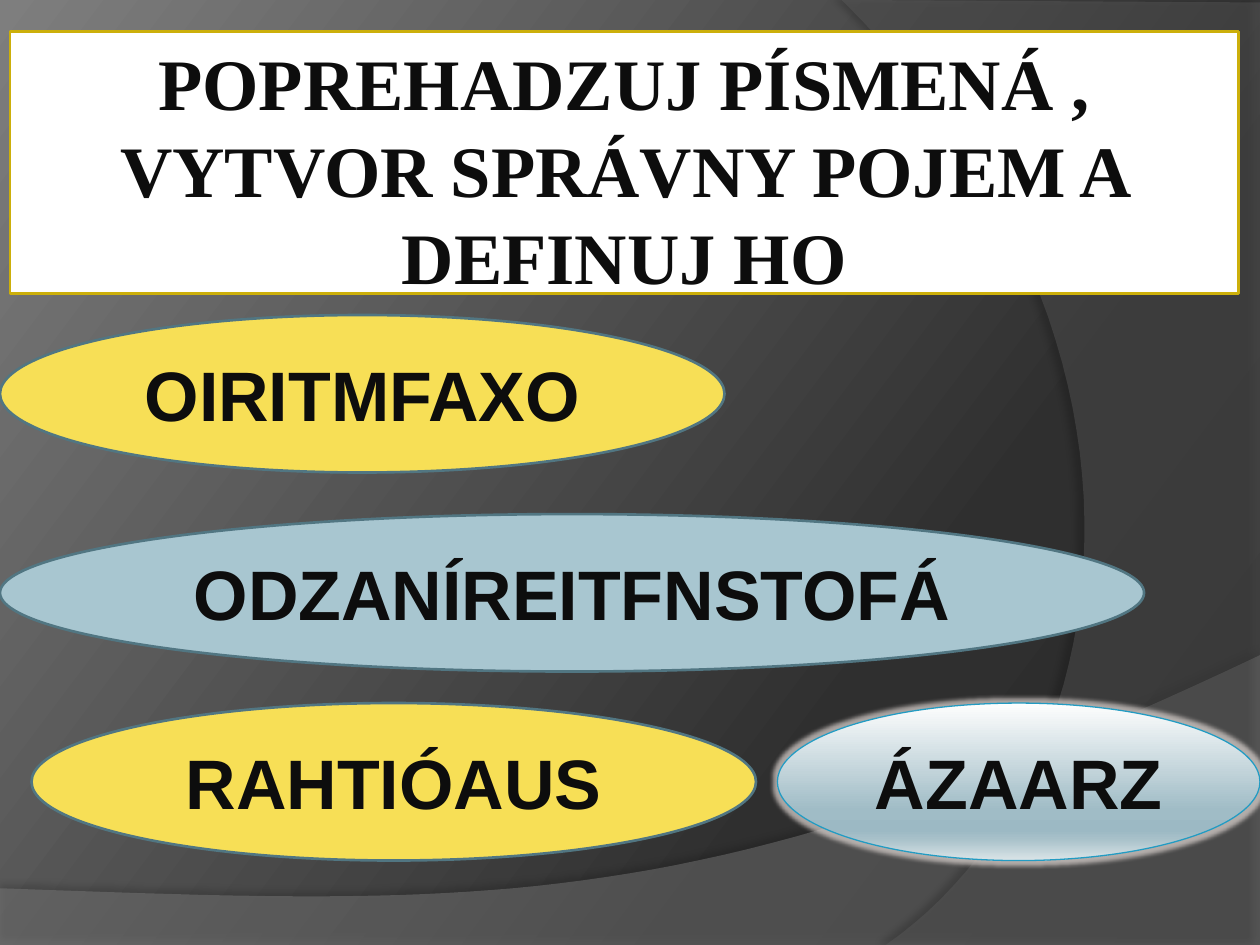
from lxml import etree
from pptx import Presentation
from pptx.dml.color import RGBColor
from pptx.enum.shapes import MSO_SHAPE
from pptx.enum.text import MSO_ANCHOR, PP_ALIGN
from pptx.oxml.ns import qn
from pptx.util import Inches, Pt

OVAL = MSO_SHAPE.OVAL
CENTER = PP_ALIGN.CENTER
TOP, MIDDLE = MSO_ANCHOR.TOP, MSO_ANCHOR.MIDDLE
INK, YELLOW, BLUE, EDGE = "0D0D0D", "F7DF56", "A8C6D0", "517682"
SILVER = [(0, "FEFEFE"), (68, "A0BCC6"), (81, "9CB9C4"), (86, "A7C0C9"), (100, "DAE4E7")]
GREY = [(0, "282828"), (30, "2F2F2F"), (100, "7E7E7E")]
UNITS = 1000


def color(code):
    """Turn a hex string into a colour."""
    return RGBColor.from_string(code)


def add_tag(parent, tag, **attrs):
    """Append a drawing element with the given attributes."""
    return etree.SubElement(parent, qn(tag), {k: str(v) for k, v in attrs.items()})


def add_tint(parent, code, alpha):
    """Append a colour with an opacity in percent."""
    tint = add_tag(parent, "a:srgbClr", val=code)
    add_tag(tint, "a:alpha", val=alpha * 1000)


def set_grad(fill, owner, stops, angle):
    """Fill with a linear gradient at a clockwise angle."""
    fill.gradient()
    fill.gradient_angle = 360 - angle
    items = next(owner.iter(qn("a:gsLst")))
    for item in list(items):
        items.remove(item)
    for pos, code in stops:
        stop = add_tag(items, "a:gs", pos=pos * 1000)
        add_tag(stop, "a:srgbClr", val=code)


def set_fill(shape, code):
    """Fill a shape with one colour."""
    shape.fill.solid()
    shape.fill.fore_color.rgb = color(code)


def set_line(shape, code, width):
    """Outline a shape."""
    shape.line.color.rgb = color(code)
    shape.line.width = Pt(width)


def set_text(shape, text, size=40, font="Arial", anchor=MIDDLE, inset=0.1):
    """Write bold centred text into a shape."""
    frame = shape.text_frame
    frame.word_wrap = True
    frame.vertical_anchor = anchor
    frame.margin_left = frame.margin_right = Inches(inset)
    frame.margin_top = frame.margin_bottom = Inches(0.05)
    para = frame.paragraphs[0]
    para.alignment = CENTER
    run = para.add_run()
    run.text = text
    run.font.size = Pt(size)
    run.font.name = font
    run.font.bold = True
    run.font.color.rgb = color(INK)


def curve(start, one, two, end, steps=48):
    """List the points of a Bezier curve."""
    points = []
    for step in range(steps + 1):
        t = step / steps
        u = 1 - t
        parts = (u ** 3, 3 * u * u * t, 3 * u * t * t, t ** 3)
        points.append(tuple(sum(p * q for p, q in zip(parts, axis))
                            for axis in zip(start, one, two, end)))
    return points


def add_wave(slide, points, code, alpha, shade, dist, angle):
    """Draw a translucent area with a soft shadow."""
    dots = [(round(x * UNITS), round(y * UNITS)) for x, y in points]
    path = slide.shapes.build_freeform(*dots[0], scale=Inches(1) / UNITS)
    path.add_line_segments(dots[1:], close=True)
    wave = path.convert_to_shape()
    set_fill(wave, code)
    tint = next(wave._element.spPr.iter(qn("a:srgbClr")))
    add_tag(tint, "a:alpha", val=alpha * 1000)
    wave.line.fill.background()
    wave.shadow.inherit = False
    effects = wave._element.spPr.find(qn("a:effectLst"))
    shadow = add_tag(effects, "a:outerShdw", blurRad=Pt(4), dist=Pt(dist),
                     dir=angle * 60000, algn="ctr", rotWithShape=0)
    add_tint(shadow, "000000", shade)


def add_oval(slide, text, left, top, width, code=None, edge=EDGE, weight=1.5):
    """Draw an oval holding a scrambled word."""
    oval = slide.shapes.add_shape(OVAL, Inches(left), Inches(top), Inches(width), Inches(1.25))
    oval.shadow.inherit = False
    if code:
        set_fill(oval, code)
    set_line(oval, edge, weight)
    set_text(oval, text)
    return oval


def add_title(slide, text):
    """Format the title placeholder."""
    title = slide.shapes.title
    title.left, title.top = Inches(0.08), Inches(0.25)
    title.width, title.height = Inches(9.75), Inches(2.08)
    set_fill(title, "FFFFFF")
    set_line(title, "CCAF0A", 1.5)
    set_text(title, text, size=41.4, font="Times New Roman", anchor=TOP, inset=0.05)


def main():
    """Build the slide."""
    deck = Presentation()
    deck.slide_width, deck.slide_height = Inches(10), Inches(7.5)
    slide = deck.slides.add_slide(deck.slide_layouts[5])
    set_grad(slide.background.fill, slide._element, GREY, 217)

    low = curve((10, 5.2), (5.59, 7.29), (3.91, 7.19), (0, 7.05))
    add_wave(slide, low + [(0, 7.5), (10, 7.5)], "7F7F7F", 45, 35, 3.5, 270)
    side = curve((7.03, 7.5), (8.91, 6.19), (9.47, 2.75), (6.68, 0))
    add_wave(slide, side + [(10, 0.02), (10, 7.5)], "5E5E5E", 40, 45, 4, 180)

    add_title(slide, "POPREHADZUJ PÍSMENÁ , VYTVOR SPRÁVNY POJEM A DEFINUJ HO")
    tree = slide.shapes._spTree
    tree.append(slide.shapes.title._element)

    add_oval(slide, "OIRITMFAXO", 0, 2.5, 5.75, YELLOW)
    add_oval(slide, "ODZANÍREITFNSTOFÁ", 0, 4.08, 9.08, BLUE)
    add_oval(slide, "RAHTIÓAUS", 0.25, 5.58, 5.75, YELLOW)
    last = add_oval(slide, "ÁZAARZ", 6.17, 5.58, 3.83, edge="239BC2", weight=0.75)
    set_grad(last.fill, last._element, SILVER, 90)
    effects = last._element.spPr.find(qn("a:effectLst"))
    add_tint(add_tag(effects, "a:glow", rad=Pt(5)), "E0D8D4", 70)

    deck.save("out.pptx")


if __name__ == "__main__":
    main()
